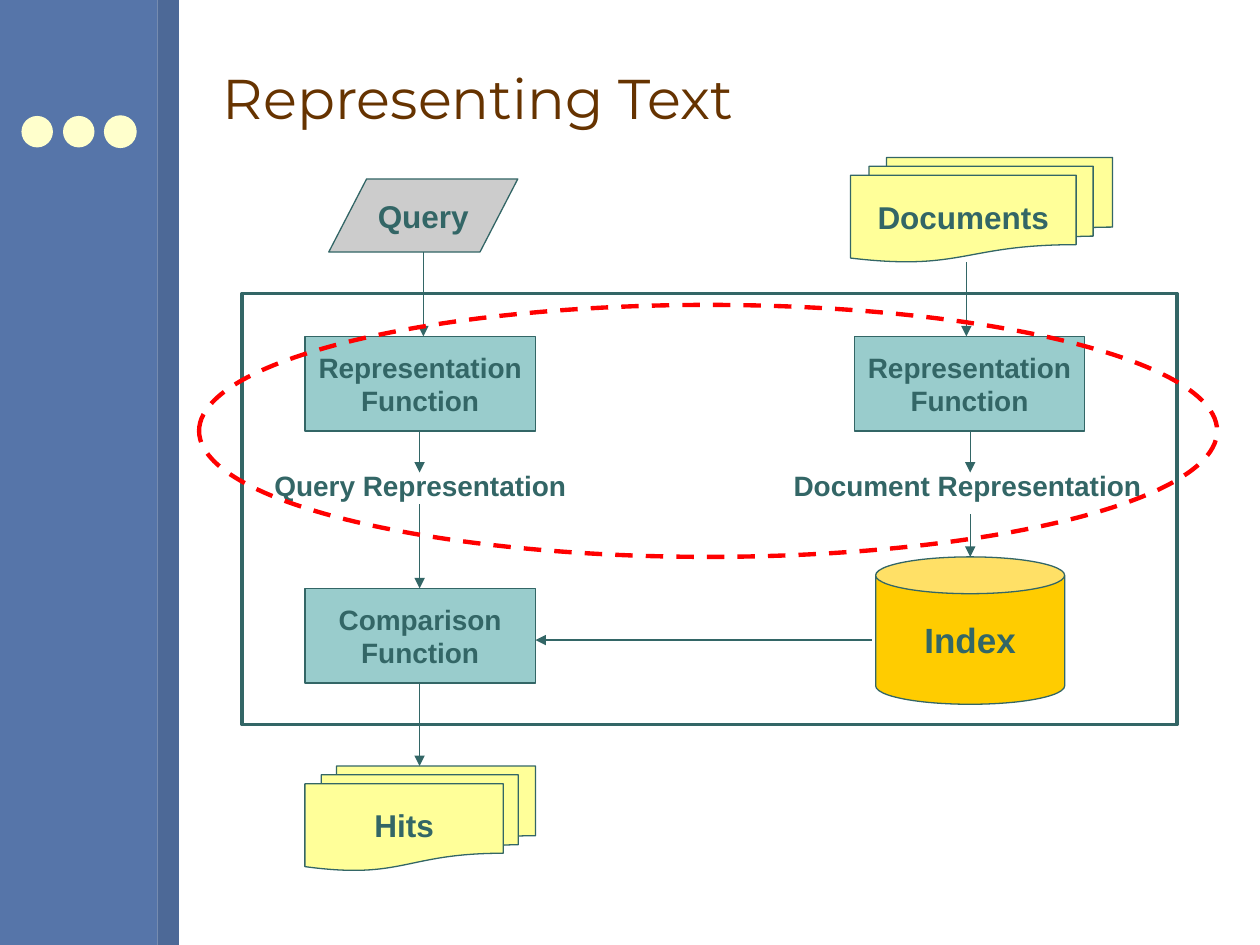
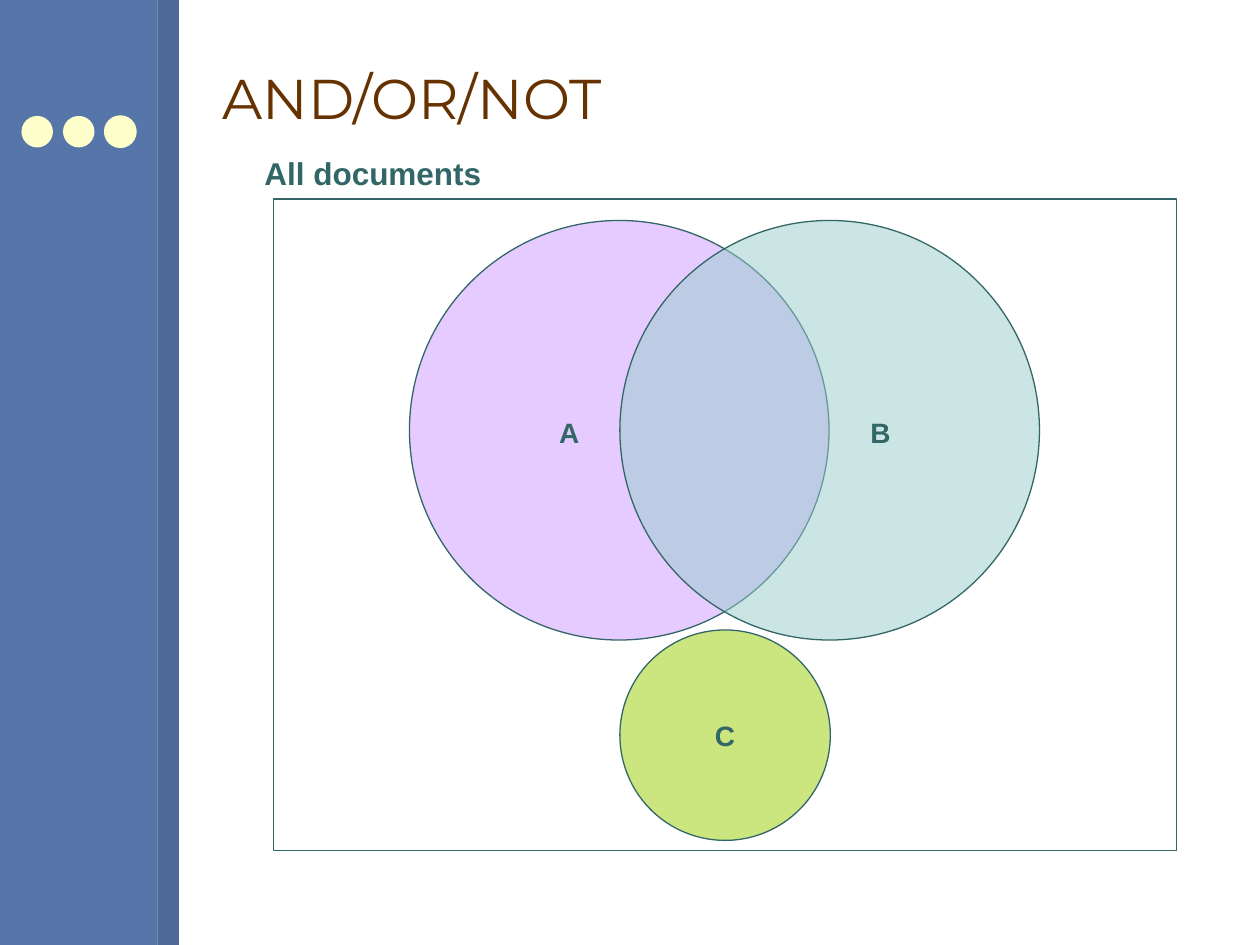
from lxml import etree
from pptx import Presentation
from pptx import util as u
from pptx.dml import color
from pptx.enum import dml, shapes, text
from pptx.oxml import ns

SHAPE = shapes.MSO_SHAPE
INK = "336666"
PAPER = "FFFF99"
TEAL = "99CCCC"
DOT = "FFFFCC"
BODY_FONT = "Arial"
TITLE_FONT = "Montserrat"


def rgb(hex_code):
    return color.RGBColor.from_string(hex_code)


def add_child(parent, tag, **attributes):
    return etree.SubElement(parent, ns.qn(tag), attributes)


def write(frame, lines, size, hue=INK, font=BODY_FONT, bold=True,
          align=text.PP_ALIGN.LEFT, anchor=text.MSO_ANCHOR.TOP, wrap=False):
    frame.word_wrap = wrap
    frame.vertical_anchor = anchor
    for number, line in enumerate(lines.split("\n")):
        paragraph = frame.add_paragraph() if number else frame.paragraphs[0]
        paragraph.alignment = align
        run = paragraph.add_run()
        run.text = line
        run.font.name = font
        run.font.size = u.Pt(size)
        run.font.bold = bold
        run.font.color.rgb = rgb(hue)


def add_figure(slide, kind, left, top, width, height, fill=None, line=INK,
               weight=0.75, opacity=None, label=None, size=16):
    figure = slide.shapes.add_shape(
        kind, *map(u.Inches, (left, top, width, height)))
    figure.shadow.inherit = False
    if fill:
        figure.fill.solid()
        figure.fill.fore_color.rgb = rgb(fill)
    else:
        figure.fill.background()
    if opacity:
        tint = figure._element.spPr.find(".//" + ns.qn("a:srgbClr"))
        add_child(tint, "a:alpha", val=str(opacity * 1000))
    if line:
        figure.line.color.rgb = rgb(line)
        figure.line.width = u.Pt(weight)
    else:
        figure.line.fill.background()
    if label:
        write(figure.text_frame, label, size, align=text.PP_ALIGN.CENTER,
              anchor=text.MSO_ANCHOR.MIDDLE)
    return figure


def add_caption(slide, words, left, top, width, height, size=16):
    box = slide.shapes.add_textbox(*map(u.Inches, (left, top, width, height)))
    write(box.text_frame, words, size)
    box.text_frame.auto_size = text.MSO_AUTO_SIZE.SHAPE_TO_FIT_TEXT


def add_arrow(slide, x1, y1, x2, y2):
    arrow = slide.shapes.add_connector(
        shapes.MSO_CONNECTOR.STRAIGHT, *map(u.Inches, (x1, y1, x2, y2)))
    arrow.line.color.rgb = rgb(INK)
    arrow.line.width = u.Pt(0.75)
    add_child(arrow.line._get_or_add_ln(), "a:tailEnd", type="triangle")
    add_child(arrow._element.spPr, "a:effectLst")


def add_titled_slide(deck, title):
    slide = deck.slides.add_slide(deck.slide_layouts[6])
    add_figure(slide, SHAPE.RECTANGLE, 0, 0, 1.25, 7.5, "5675A9", None)
    add_figure(slide, SHAPE.RECTANGLE, 1.25, 0, 0.17, 7.5, "4D6997", None)
    for left, outline in ((0.17, None), (0.5, None), (0.83, DOT)):
        add_figure(slide, SHAPE.OVAL, left, 0.92, 0.25, 0.25, DOT, outline)
    heading = slide.shapes.add_textbox(
        *map(u.Inches, (1.67, 0.21, 8, 1.13)))
    write(heading.text_frame, title, 32, "663300", TITLE_FONT, False,
          anchor=text.MSO_ANCHOR.MIDDLE, wrap=True)
    return slide


def build_representing_text(deck):
    slide = add_titled_slide(deck, "Representing Text")
    query_x, index_x = 3.33, 7.7

    add_figure(slide, SHAPE.FLOWCHART_MULTIDOCUMENT, 6.75, 1.25, 2.08, 0.83,
               PAPER, label="Documents", size=18)
    add_figure(slide, SHAPE.FLOWCHART_DATA, 2.61, 1.42, 1.5, 0.58,
               "CCCCCC", label="Query", size=18)
    add_figure(slide, SHAPE.FLOWCHART_MULTIDOCUMENT, 2.42, 6.08, 1.83, 0.83,
               PAPER, label="Hits", size=18)
    for left, top, step in ((2.42, 2.67, "Representation"),
                            (6.78, 2.67, "Representation"),
                            (2.42, 4.67, "Comparison")):
        add_figure(slide, SHAPE.RECTANGLE, left, top, 1.83, 0.75, TEAL,
                   label=step + "\nFunction")
    add_caption(slide, "Query Representation", 2.08, 3.67, 2.54, 0.37)
    add_caption(slide, "Document Representation", 6.2, 3.67, 2.98, 0.37)
    add_figure(slide, SHAPE.CAN, 6.95, 4.42, 1.5, 1.17, "FFCC00",
               label="Index", size=20)

    for x, start, end in ((3.36, 2, 2.67), (query_x, 3.42, 3.75),
                          (query_x, 4, 4.67), (query_x, 5.42, 6.08),
                          (7.67, 2.08, 2.67), (index_x, 3.42, 3.75),
                          (index_x, 4.08, 4.42)):
        add_arrow(slide, x, start, x, end)
    add_arrow(slide, 6.92, 5.08, 4.25, 5.08)

    add_figure(slide, SHAPE.RECTANGLE, 1.92, 2.33, 7.42, 3.42, weight=2)
    highlight = add_figure(slide, SHAPE.OVAL, 1.58, 2.42, 8.08, 2,
                           line="FF0000", weight=2.5)
    highlight.line.dash_style = dml.MSO_LINE.DASH


def build_boolean_sets(deck):
    slide = add_titled_slide(deck, "AND/OR/NOT")
    add_figure(slide, SHAPE.RECTANGLE, 2.17, 1.58, 7.17, 5.17)
    for left, fill in ((3.25, "CC99FF"), (4.92, TEAL)):
        add_figure(slide, SHAPE.OVAL, left, 1.75, 3.33, 3.33, fill,
                   opacity=50)
    add_caption(slide, "A", 4.34, 3.25, 0.36, 0.37)
    add_caption(slide, "B", 6.81, 3.25, 0.36, 0.37)
    add_caption(slide, "All documents", 2, 1.17, 1.92, 0.4, 18)
    add_figure(slide, SHAPE.OVAL, 4.92, 5, 1.67, 1.67, "99CC00",
               opacity=50, label="C")


def main():
    deck = Presentation()
    deck.slide_width = u.Inches(10)
    deck.slide_height = u.Inches(7.5)
    build_representing_text(deck)
    build_boolean_sets(deck)
    deck.save("out.pptx")


if __name__ == "__main__":
    main()
